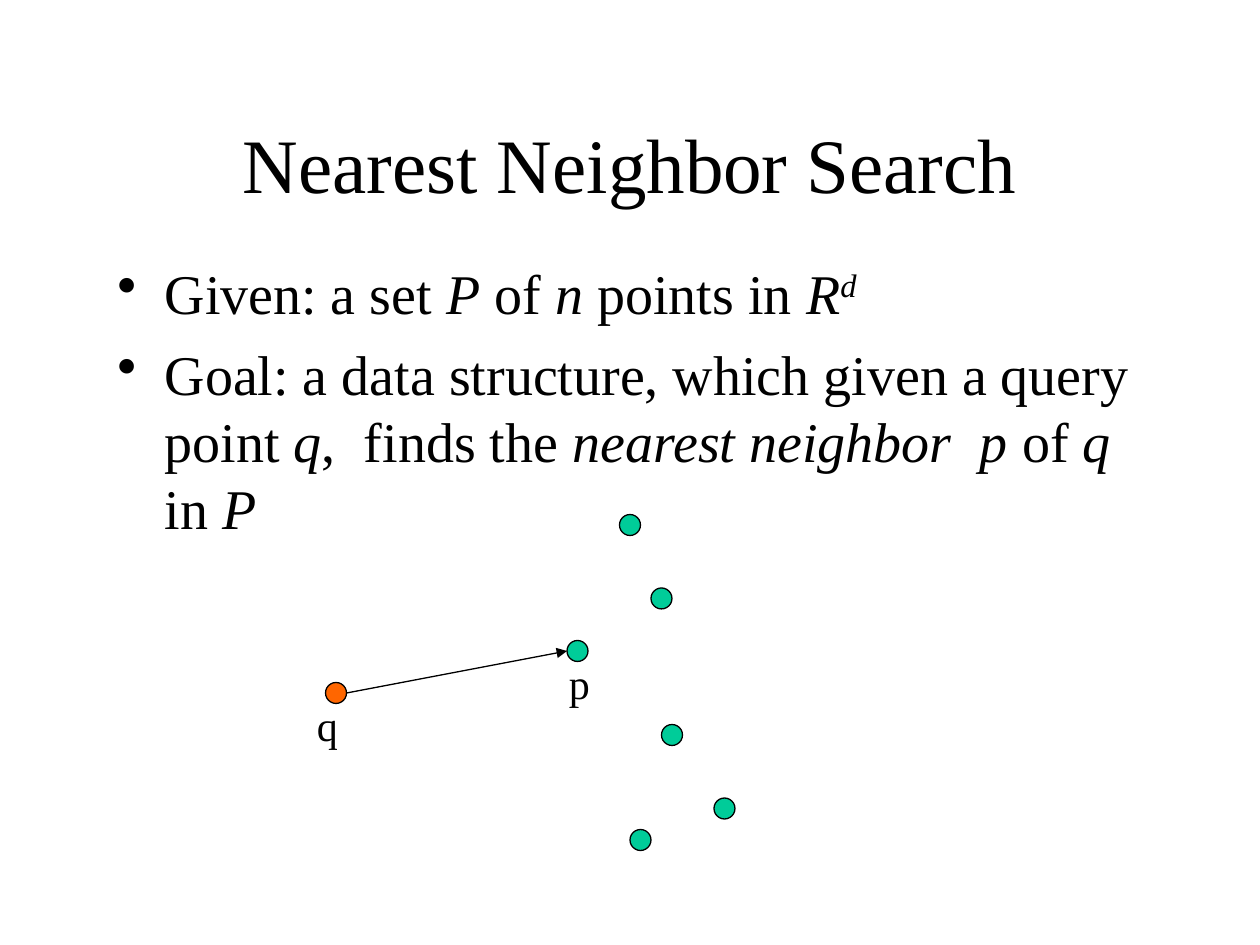
import pptx
import pptx.util
import pptx.dml.color
import pptx.enum.shapes
import pptx.enum.text
import pptx.oxml.ns
import lxml.etree

Pt = pptx.util.Pt
RGBColor = pptx.dml.color.RGBColor
qn = pptx.oxml.ns.qn
Align = pptx.enum.text.PP_ALIGN

BLACK = RGBColor(0x00, 0x00, 0x00)
GREEN = RGBColor(0x00, 0xCC, 0x99)
ORANGE = RGBColor(0xFF, 0x66, 0x00)
DOT = 12
LINE_WIDTH = 0.75


def add_text(page, left, top, width, height, size, paragraphs, wrap=True):
    """Add a text box; each paragraph is a list of (text, style) runs."""
    box = page.shapes.add_textbox(Pt(left), Pt(top), Pt(width), Pt(height))
    frame = box.text_frame
    frame.word_wrap = wrap
    for index, runs in enumerate(paragraphs):
        para = frame.paragraphs[0] if index == 0 else frame.add_paragraph()
        para.font.name = "Times New Roman"
        para.font.size = Pt(size)
        para.font.color.rgb = BLACK
        for text, style in runs:
            span = para.add_run()
            span.text = text
            if style != "plain":
                span.font.italic = True
            if style == "superscript":
                span.font._element.set("baseline", "30000")
    return frame


deck = pptx.Presentation()
deck.slide_width, deck.slide_height = Pt(720), Pt(540)
page = deck.slides.add_slide(deck.slide_layouts[6])

# Title
title = add_text(page, 54, 48, 612, 90, 44, [[("Nearest Neighbor Search", "plain")]])
title.vertical_anchor = pptx.enum.text.MSO_ANCHOR.MIDDLE
title.paragraphs[0].alignment = Align.CENTER

# Problem statement
given = [
    ("Given: a set ", "plain"), ("P", "italic"), (" of ", "plain"), ("n", "italic"),
    (" points in ", "plain"), ("R", "italic"), ("d", "superscript"),
]
goal = [
    ("Goal: a data structure, which given a query point ", "plain"), ("q", "italic"),
    (",  finds the ", "plain"), ("nearest neighbor  p", "italic"), (" of ", "plain"),
    ("q", "italic"), (" in ", "plain"), ("P", "italic"),
]
statement = add_text(page, 60, 144, 606, 174, 32, [given, goal])
for para in statement.paragraphs:
    para.space_before = Pt(8)
    properties = para._p.get_or_add_pPr()
    properties.set("marL", str(Pt(27)))
    properties.set("indent", str(-Pt(27)))
    bullet = lxml.etree.SubElement(properties, qn("a:buChar"))
    bullet.set("char", "•")
    properties.remove(bullet)
    properties.insert_element_before(bullet, "a:tabLst", "a:defRPr", "a:extLst")

# Query point q, its nearest neighbor p, and the other points
query = (186, 390)
nearest = (324, 366)
others = [(372, 336), (354, 294), (378, 414), (408, 456), (360, 474)]
for left, top in [query, nearest] + others:
    dot = page.shapes.add_shape(
        pptx.enum.shapes.MSO_SHAPE.FLOWCHART_CONNECTOR, Pt(left), Pt(top), Pt(DOT), Pt(DOT))
    dot.shadow.inherit = False
    dot.fill.solid()
    dot.fill.fore_color.rgb = ORANGE if (left, top) == query else GREEN
    dot.line.color.rgb = BLACK
    dot.line.width = Pt(LINE_WIDTH)

for name, (left, top) in (("q", query), ("p", nearest)):
    add_text(page, left - 12 if name == "q" else left - 6, top + 6, 26, 36, 24,
             [[(name, "plain")]], wrap=False)

# Arrow from the right of q to the left of p
arrow = page.shapes.add_connector(
    pptx.enum.shapes.MSO_CONNECTOR.STRAIGHT,
    Pt(query[0] + DOT), Pt(query[1] + DOT / 2), Pt(nearest[0]), Pt(nearest[1] + DOT / 2))
arrow.line.color.rgb = BLACK
arrow.line.width = Pt(LINE_WIDTH)
head = lxml.etree.SubElement(arrow.line._get_or_add_ln(), qn("a:tailEnd"))
head.set("type", "triangle")
lxml.etree.SubElement(arrow._element.spPr, qn("a:effectLst"))

deck.save("out.pptx")
